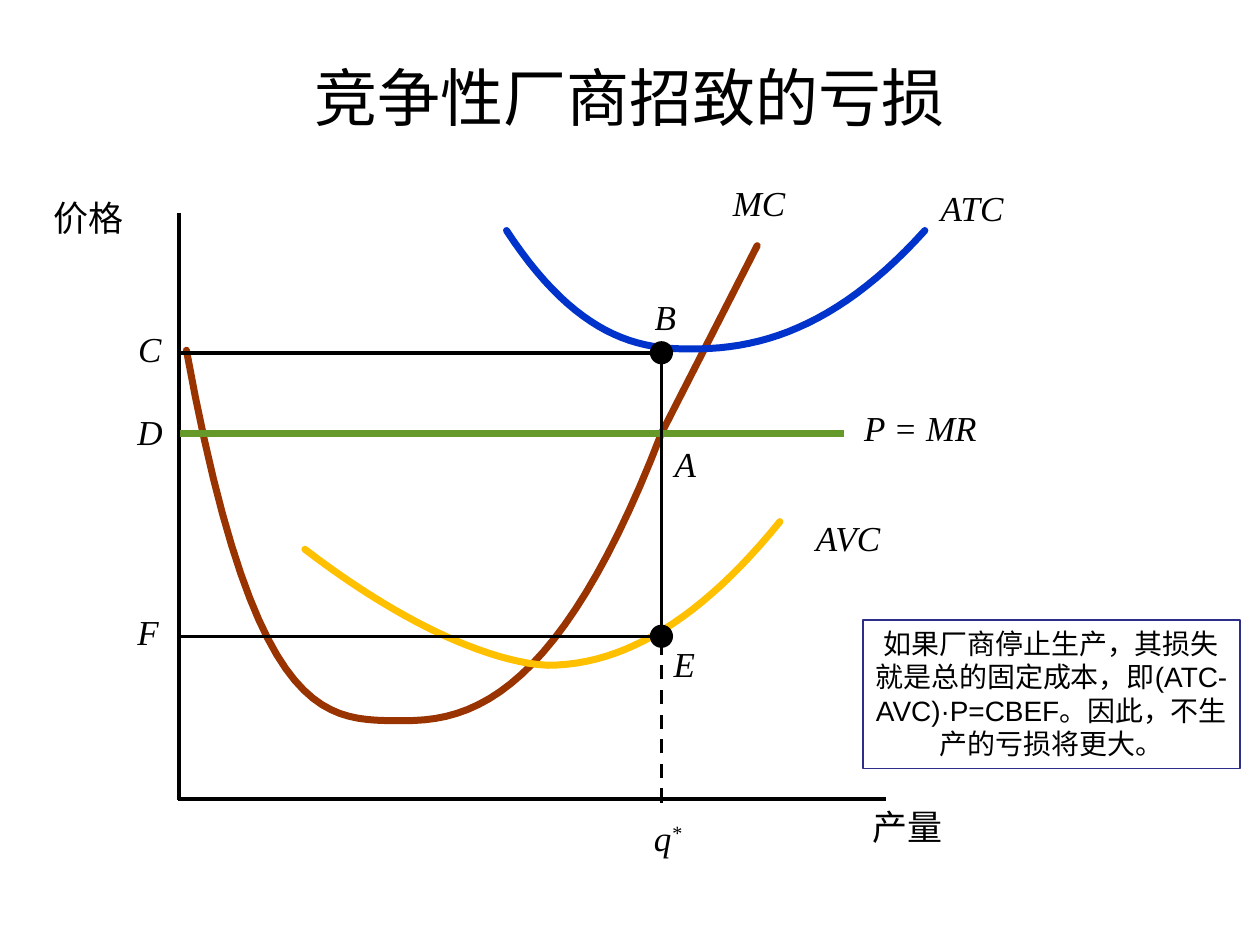
"""Build a slide on the losses of a competitive firm, with its cost curves."""
from dataclasses import dataclass
from typing import Optional

from lxml.etree import SubElement
from pptx import Presentation
from pptx.dml.color import RGBColor as RGB
from pptx.enum.dml import MSO_LINE_DASH_STYLE as Dash
from pptx.enum.shapes import MSO_CONNECTOR as Connector, MSO_SHAPE as Shape
from pptx.enum.text import MSO_ANCHOR as Anchor, MSO_AUTO_SIZE as AutoSize, PP_ALIGN as Align
from pptx.oxml.ns import qn
from pptx.util import Inches, Pt

Point = tuple[float, float]


@dataclass(frozen=True)
class Theme:
    """Colours, fonts and sizes of the slide."""
    ink: RGB = RGB(0x00, 0x00, 0x00)
    paper: RGB = RGB(0xFF, 0xFF, 0xFF)
    marginal: RGB = RGB(0x99, 0x33, 0x00)
    average_total: RGB = RGB(0x00, 0x33, 0xCC)
    average_variable: RGB = RGB(0xFF, 0xC0, 0x00)
    price: RGB = RGB(0x65, 0x9A, 0x2A)
    note_border: RGB = RGB(0x2D, 0x2D, 0x8A)
    title_font: str = "Noto Sans CJK SC"
    label_font: str = "Times New Roman"
    note_font: str = "Arial"
    title_size: int = 36
    label_size: int = 20
    note_size: int = 16
    fine: int = 1
    thin: int = 2
    thick: int = 4


THEME = Theme()


@dataclass(frozen=True)
class Label:
    """A label of the diagram with its place."""
    text: str
    left: float
    top: float
    width: float = 0.4
    italic: bool = True
    align: Align = Align.CENTER
    superscript: str = ""


@dataclass(frozen=True)
class Segment:
    """A straight line of the diagram."""
    start: Point
    end: Point
    color: RGB = THEME.ink
    weight: int = THEME.thin
    dash: Optional[Dash] = None


@dataclass(frozen=True)
class Arm:
    """One side of a cost curve, rising to its end by a power of the distance."""
    end: Point
    power: float

    def points(self, lowest: Point, steps: int = 24) -> list[Point]:
        """Return the points from the lowest point to the end of the arm."""
        (x, y), (end_x, end_y) = lowest, self.end
        shares = [step / steps for step in range(steps + 1)]
        return [(x + (end_x - x) * share, y + (end_y - y) * share ** self.power)
                for share in shares]


@dataclass(frozen=True)
class CostCurve:
    """A U-shaped cost curve, with an optional straight extension on the right."""
    color: RGB
    lowest: Point
    left: Arm
    right: Arm
    extension: tuple[Point, ...] = ()

    def points(self) -> list[Point]:
        """Return the points of the curve from left to right."""
        falling = self.left.points(self.lowest)[::-1]
        rising = self.right.points(self.lowest)[1:]
        return falling + rising + list(self.extension)


AXIS_X, QUANTITY_X = 1.42, 5.25
COST_Y, PRICE_Y, VARIABLE_COST_Y, AXIS_Y = 2.8, 3.44, 5.05, 6.34
DOT_SIZE, LABEL_HEIGHT = 0.17, 0.43

AXES = (
    Segment((1.41, AXIS_Y), (7.03, AXIS_Y)),
    Segment((AXIS_X, 1.69), (AXIS_X, 6.35)),
)
QUANTITY_LINE = Segment((QUANTITY_X, 6.37), (QUANTITY_X, 5.01), dash=Dash.DASH)
PRICE_LINE = Segment((1.43, PRICE_Y), (6.7, PRICE_Y), THEME.price, THEME.thick)

MARGINAL_COST = CostCurve(
    THEME.marginal, lowest=(3.2, 5.72), left=Arm((1.48, 2.78), 3.2),
    right=Arm((QUANTITY_X, PRICE_Y), 2.34), extension=((6.01, 1.95),))
AVERAGE_VARIABLE_COST = CostCurve(
    THEME.average_variable, lowest=(4.35, 5.28),
    left=Arm((2.42, 4.36), 1.6), right=Arm((6.19, 4.14), 2))
AVERAGE_TOTAL_COST = CostCurve(
    THEME.average_total, lowest=(5.48, 2.77),
    left=Arm((4.02, 1.83), 2.38), right=Arm((7.34, 1.83), 2.2))
LOSS_FRAME = (
    (AXIS_X, VARIABLE_COST_Y), (QUANTITY_X, VARIABLE_COST_Y),
    (QUANTITY_X, COST_Y), (AXIS_X, COST_Y),
)

LABELS = (
    Label("价格", 0.32, 1.51, 0.76, italic=False, align=Align.RIGHT),
    Label("产量", 6.82, 6.34, 0.76, italic=False),
    Label("AVC", 6.34, 4.05, 0.78),
    Label("ATC", 7.33, 1.43, 0.77),
    Label("MC", 5.71, 1.39, 0.63),
    Label("q", 5.08, 6.43, 0.44, superscript="*"),
    Label("P = MR", 6.74, 3.18, 1.13),
    Label("B", 5.08, 2.3),
    Label("F", 0.99, 4.8, 0.37),
    Label("C", 0.99, 2.55),
    Label("A", 5.24, 3.46),
    Label("E", 5.24, 5.05, 0.38),
    Label("D", 0.99, 3.21),
)
NOTE = "如果厂商停止生产，其损失就是总的固定成本，即(ATC-AVC)·P=CBEF。因此，不生产的亏损将更大。"


def add_run(paragraph, text: str, name: str, size: int, italic: bool = False):
    """Add a run of text in the given font."""
    run = paragraph.add_run()
    run.text = text
    for key, value in {"name": name, "size": Pt(size), "italic": italic}.items():
        setattr(run.font, key, value)
    run.font.color.rgb = THEME.ink
    return run


def set_frame(frame, **formats) -> None:
    """Set the format values of a text frame."""
    for key, value in formats.items():
        setattr(frame, key, value)


def style_line(line, color: RGB, weight: int) -> None:
    """Give a line its colour and weight."""
    line.color.rgb = color
    line.width = Pt(weight)


def add_title(slide, text: str) -> None:
    """Write the slide title."""
    title = slide.shapes.add_textbox(Inches(2.4), Inches(0.34), Inches(6.93), Inches(0.85))
    set_frame(title.text_frame, word_wrap=True, vertical_anchor=Anchor.MIDDLE)
    add_run(title.text_frame.paragraphs[0], text, THEME.title_font, THEME.title_size)


def add_label(slide, label: Label) -> None:
    """Write one label of the diagram."""
    place = (label.left, label.top, label.width, LABEL_HEIGHT)
    frame = slide.shapes.add_textbox(*map(Inches, place)).text_frame
    set_frame(frame, word_wrap=False, auto_size=AutoSize.SHAPE_TO_FIT_TEXT)
    paragraph = frame.paragraphs[0]
    paragraph.alignment = label.align
    style = (THEME.label_font, THEME.label_size, label.italic)
    add_run(paragraph, label.text, *style)
    if label.superscript:
        mark = add_run(paragraph, label.superscript, *style)
        mark._r.get_or_add_rPr().set("baseline", "30000")


def add_segment(slide, segment: Segment) -> None:
    """Draw one straight line."""
    ends = map(Inches, segment.start + segment.end)
    connector = slide.shapes.add_connector(Connector.STRAIGHT, *ends)
    style_line(connector.line, segment.color, segment.weight)
    if segment.dash is not None:
        connector.line.dash_style = segment.dash
    SubElement(connector._element.spPr, qn("a:effectLst"))


def add_outline(slide, points, color: RGB, weight: int):
    """Draw an open outline through the points."""
    start, *rest = [(Inches(x), Inches(y)) for x, y in points]
    builder = slide.shapes.build_freeform(*start)
    builder.add_line_segments(rest, close=False)
    outline = builder.convert_to_shape()
    outline.shadow.inherit = False
    outline.fill.background()
    style_line(outline.line, color, weight)
    return outline


def add_cost_curve(slide, curve: CostCurve) -> None:
    """Draw a cost curve with round ends and joins."""
    outline = add_outline(slide, curve.points(), curve.color, THEME.thick)
    stroke = outline.line._get_or_add_ln()
    stroke.set("cap", "rnd")
    SubElement(stroke, qn("a:round"))


def add_filled(slide, kind: Shape, place: tuple[float, ...], fill: RGB, border: RGB):
    """Draw a filled preset shape with a fine border."""
    shape = slide.shapes.add_shape(kind, *map(Inches, place))
    shape.shadow.inherit = False
    shape.fill.solid()
    shape.fill.fore_color.rgb = fill
    style_line(shape.line, border, THEME.fine)
    return shape


def add_dot(slide, center: Point) -> None:
    """Mark a point of the diagram."""
    corner = tuple(value - DOT_SIZE / 2 for value in center)
    add_filled(slide, Shape.OVAL, corner + (DOT_SIZE, DOT_SIZE), THEME.ink, THEME.ink)


def add_note(slide, text: str) -> None:
    """Draw the framed note on the loss."""
    place = (6.85, 4.92, 2.99, 1.18)
    frame = add_filled(slide, Shape.RECTANGLE, place, THEME.paper, THEME.note_border).text_frame
    set_frame(frame, word_wrap=True, vertical_anchor=Anchor.TOP,
              auto_size=AutoSize.SHAPE_TO_FIT_TEXT)
    frame.paragraphs[0].alignment = Align.CENTER
    add_run(frame.paragraphs[0], text, THEME.note_font, THEME.note_size)


def main() -> None:
    """Build the slide and save it."""
    deck = Presentation()
    deck.slide_width, deck.slide_height = Inches(10), Inches(7.5)
    slide = deck.slides.add_slide(deck.slide_layouts[6])
    add_title(slide, "竞争性厂商招致的亏损")
    for axis in AXES:
        add_segment(slide, axis)
    add_cost_curve(slide, MARGINAL_COST)
    add_segment(slide, QUANTITY_LINE)
    for curve in (AVERAGE_VARIABLE_COST, AVERAGE_TOTAL_COST):
        add_cost_curve(slide, curve)
    add_segment(slide, PRICE_LINE)
    add_outline(slide, LOSS_FRAME, THEME.ink, THEME.thin)
    for level in (VARIABLE_COST_Y, COST_Y):
        add_dot(slide, (QUANTITY_X, level))
    for label in LABELS:
        add_label(slide, label)
    add_note(slide, NOTE)
    deck.save("out.pptx")


if __name__ == "__main__":
    main()
